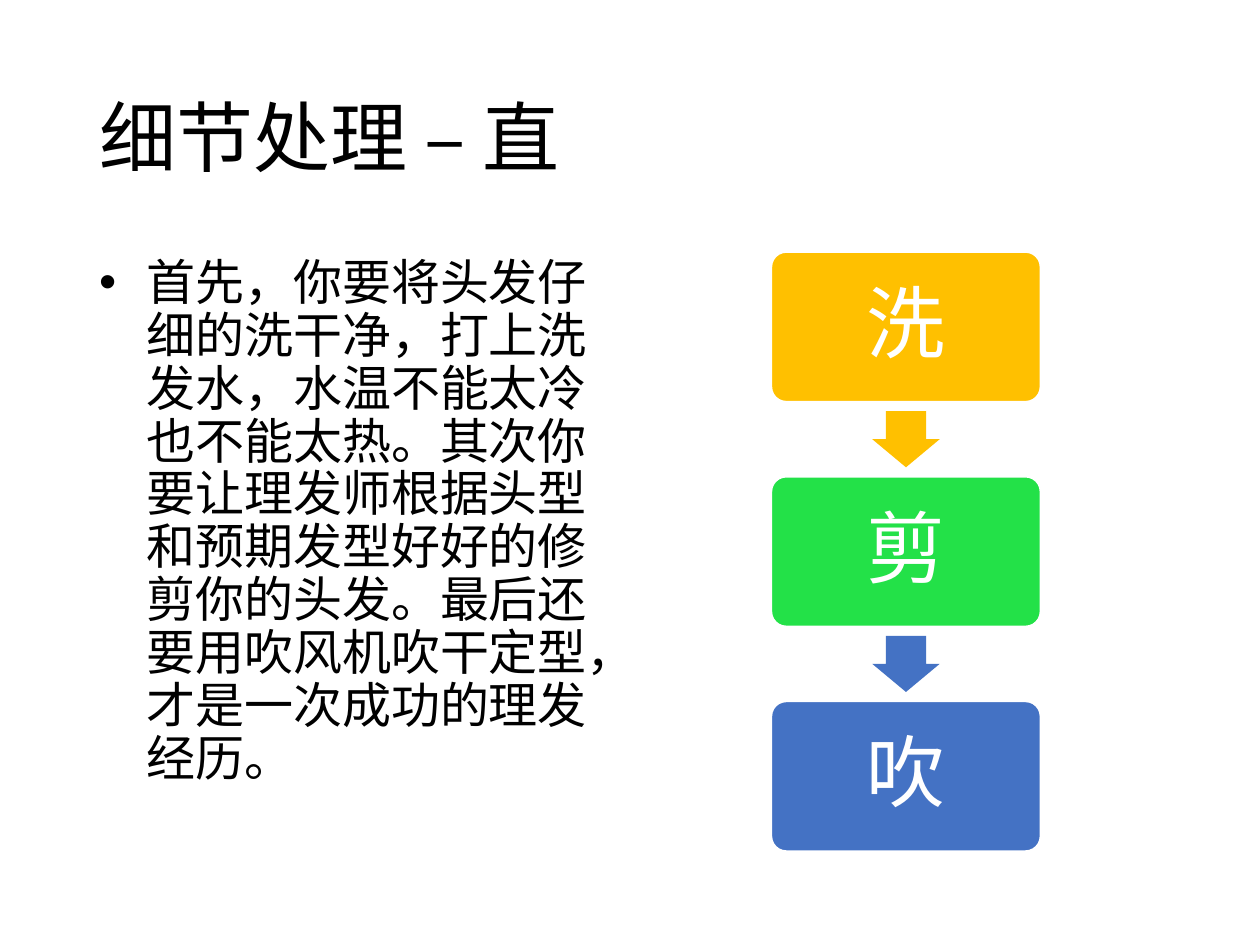
from pptx import Presentation
from pptx.dml.color import RGBColor
from pptx.enum.shapes import MSO_SHAPE as Shape
from pptx.enum.text import MSO_ANCHOR as Anchor, MSO_AUTO_SIZE as AutoSize, PP_ALIGN as Align
from pptx.util import Pt

# Content
TITLE = "细节处理 – 直"
ADVICE = ("首先，你要将头发仔细的洗干净，打上洗发水，水温不能太冷也不能太热。"
          "其次你要让理发师根据头型和预期发型好好的修剪你的头发。"
          "最后还要用吹风机吹干定型，才是一次成功的理发经历。")
STEPS = [("洗", "FFC000"), ("剪", "23E148"), ("吹", "4472C4")]
ARROW_COLOURS = ["FFC000", "4472C4"]

# Layout, in points
TITLE_BOX = (49.5, 28.75, 621, 104.4)
ADVICE_BOX = (49.5, 143.75, 306, 342.6)
STEP_LEFT, STEP_TOP, STEP_WIDTH, STEP_HEIGHT = 440.8, 144, 153.8, 85.6
STEP_PITCH = 1.5 * STEP_HEIGHT
ARROW_LENGTH, ARROW_WIDTH = 32.1, 38.5

# Formats
FONT = {"name": "Calibri", "bold": False}
TITLE_FONT = {**FONT, "size": Pt(44)}
ADVICE_FONT = {**FONT, "size": Pt(28)}
STEP_FONT = {**FONT, "size": Pt(45)}
FRAME = {"word_wrap": True, "auto_size": AutoSize.NONE}
PARAGRAPH = {"line_spacing": 0.9, "space_before": Pt(0), "alignment": Align.LEFT}
STEP_MARGINS = {f"margin_{side}": Pt(15.5) for side in ("left", "top", "right", "bottom")}


def colour(value):
    return RGBColor.from_string(value)


def apply(target, formats):
    for attribute, value in formats.items():
        setattr(target, attribute, value)


def place(shape, box):
    apply(shape, dict(zip(("left", "top", "width", "height"), map(Pt, box))))


def write(shape, words, font, ink, frame, paragraph):
    text_frame = shape.text_frame
    apply(text_frame, {**FRAME, **frame})
    line = text_frame.paragraphs[0]
    apply(line, {**PARAGRAPH, **paragraph})
    run = line.add_run()
    run.text = words
    apply(run.font, font)
    run.font.color.rgb = colour(ink)
    return line


def add_block(group, kind, box, fill, adjustments):
    block = group.shapes.add_shape(kind, *map(Pt, box))
    block.shadow.inherit = False
    block.fill.solid()
    block.fill.fore_color.rgb = colour(fill)
    for index, value in enumerate(adjustments):
        block.adjustments[index] = value
    return block


deck = Presentation()
apply(deck, {"slide_width": Pt(720), "slide_height": Pt(540)})
slide = deck.slides.add_slide(deck.slide_layouts[1])

# Title and advice
title, advice = slide.placeholders
place(title, TITLE_BOX)
write(title, TITLE, TITLE_FONT, "000000", {"vertical_anchor": Anchor.MIDDLE}, {})
place(advice, ADVICE_BOX)
bullet = write(advice, ADVICE, ADVICE_FONT, "000000",
               {"vertical_anchor": Anchor.TOP}, {"space_before": Pt(10)})
apply(bullet._p.get_or_add_pPr(), {"marL": Pt(18), "indent": Pt(-18)})

# Steps, with an arrow centred in each gap
process = slide.shapes.add_group_shape()
for number, (step, fill) in enumerate(STEPS):
    top = STEP_TOP + number * STEP_PITCH
    box = add_block(process, Shape.ROUNDED_RECTANGLE,
                    (STEP_LEFT, top, STEP_WIDTH, STEP_HEIGHT), fill, [0.1])
    box.line.color.rgb = colour("FFFFFF")
    box.line.width = Pt(1)
    write(box, step, STEP_FONT, "FFFFFF",
          {**STEP_MARGINS, "vertical_anchor": Anchor.MIDDLE}, {"alignment": Align.CENTER})
    if number < len(ARROW_COLOURS):
        middle_x = STEP_LEFT + STEP_WIDTH / 2
        middle_y = top + (STEP_HEIGHT + STEP_PITCH) / 2
        arrow = add_block(process, Shape.RIGHT_ARROW,
                          (middle_x - ARROW_LENGTH / 2, middle_y - ARROW_WIDTH / 2,
                           ARROW_LENGTH, ARROW_WIDTH), ARROW_COLOURS[number], [0.6, 0.5])
        arrow.rotation = 90
        arrow.line.fill.background()

deck.save("out.pptx")
